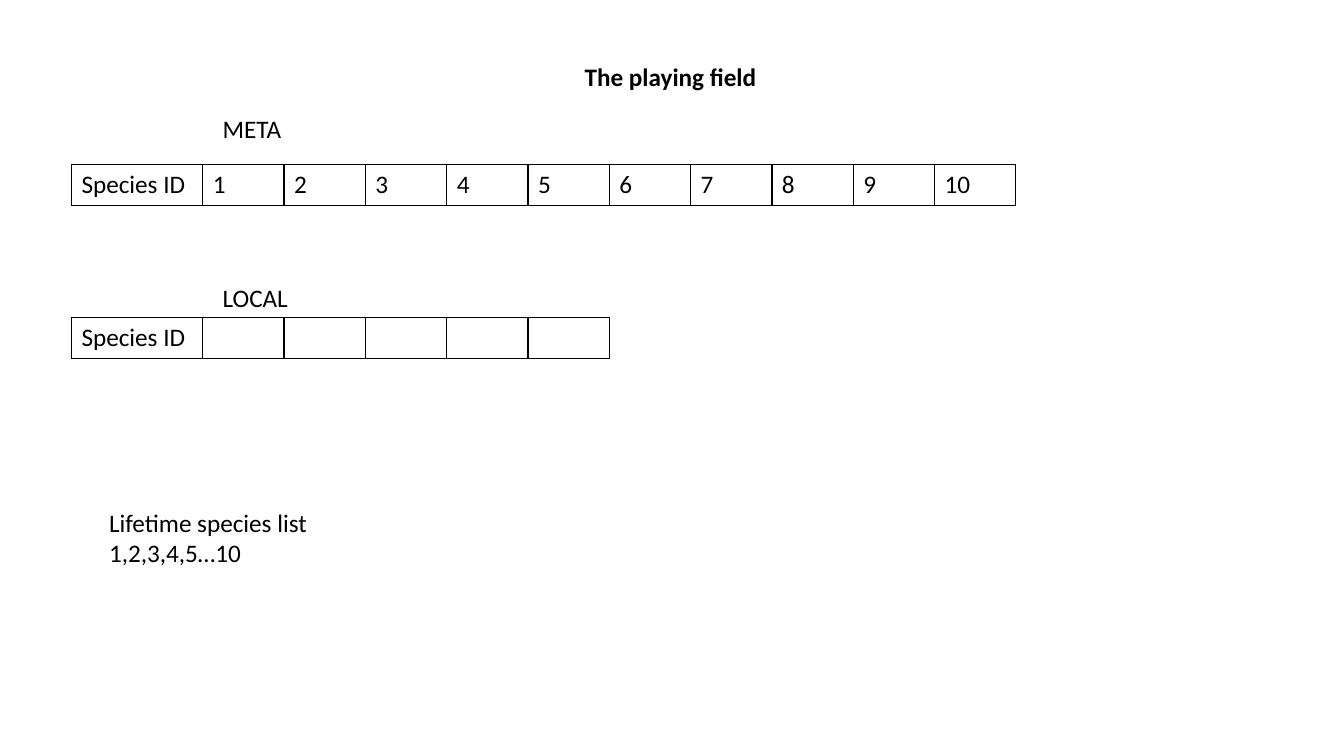
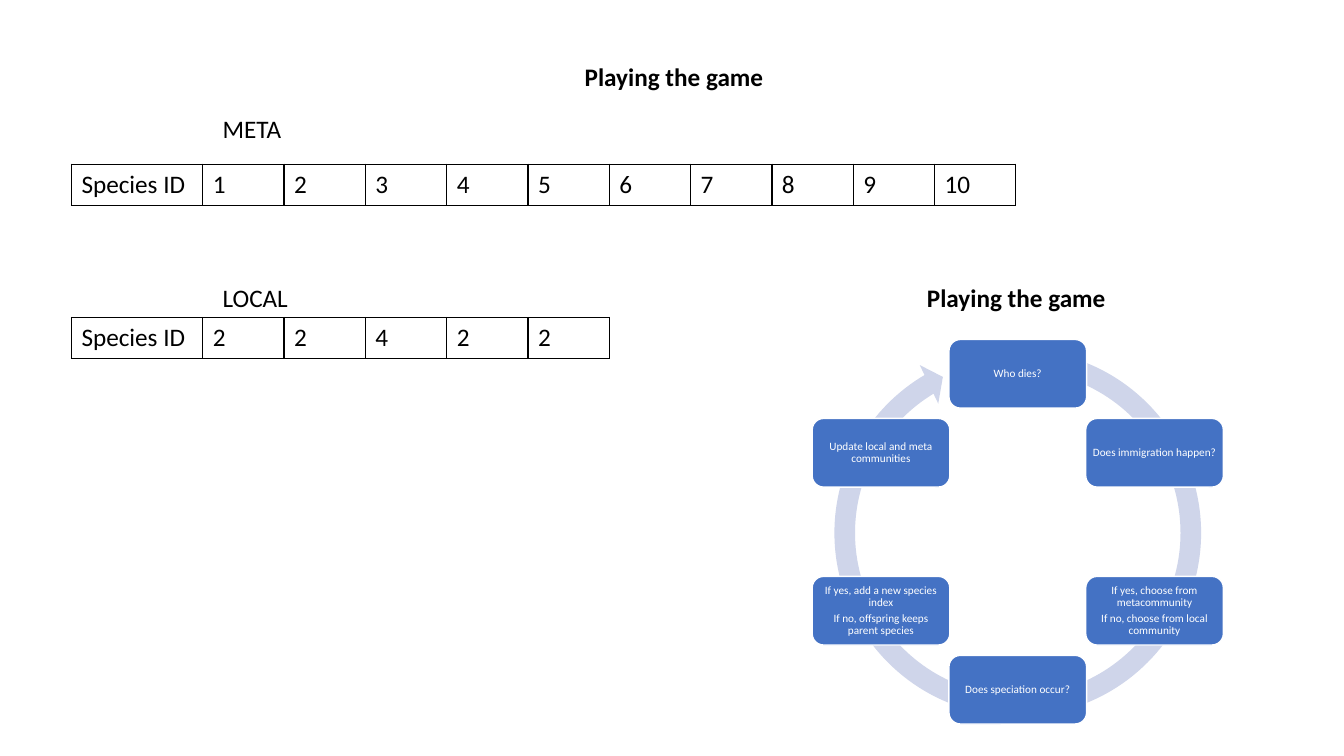
from math import cos, radians, sin

from lxml import etree
from pptx import Presentation
from pptx.dml.color import RGBColor
from pptx.enum.shapes import MSO_SHAPE
from pptx.enum.text import MSO_ANCHOR, MSO_AUTO_SIZE, PP_ALIGN
from pptx.oxml import parse_xml
from pptx.util import Cm, Pt

BLACK = RGBColor(0x00, 0x00, 0x00)
WHITE = RGBColor(0xFF, 0xFF, 0xFF)
BLUE = RGBColor(0x44, 0x72, 0xC4)
PALE_BLUE = RGBColor(0xCF, 0xD5, 0xEA)
FONT = "Calibri"
LEFT, CENTER = PP_ALIGN.LEFT, PP_ALIGN.CENTER
TOP, MIDDLE = MSO_ANCHOR.TOP, MSO_ANCHOR.MIDDLE
FIT_SHAPE = MSO_AUTO_SIZE.SHAPE_TO_FIT_TEXT
ROUND_RECT, CIRCULAR_ARROW = MSO_SHAPE.ROUNDED_RECTANGLE, MSO_SHAPE.CIRCULAR_ARROW
NS = "http://schemas.openxmlformats.org/drawingml/2006/main"

TABLE_LEFT, ROW_H = 1.8, 1.03
LABEL_W, CELL_W = 3.31, 2.05


def write(tf, text, size=18, color=BLACK, bold=False, align=LEFT, anchor=TOP,
          wrap=False, after=0, spacing=1.0):
    tf.word_wrap = wrap
    tf.vertical_anchor = anchor
    if not wrap:
        tf.auto_size = FIT_SHAPE
    for i, line in enumerate(text.split("\n")):
        p = tf.paragraphs[0] if i == 0 else tf.add_paragraph()
        p.alignment, p.line_spacing, p.space_after = align, spacing, Pt(after)
        r = p.add_run()
        r.text = line
        r.font.name, r.font.size, r.font.bold = FONT, Pt(size), bold
        r.font.color.rgb = color


def add_species_table(s, top, species):
    n = len(species)
    table = s.shapes.add_table(1, n + 1, Cm(TABLE_LEFT), Cm(top),
                               Cm(LABEL_W + n * CELL_W), Cm(ROW_H)).table
    table.first_row = table.horz_banding = False
    table.rows[0].height = Cm(ROW_H)
    for i, value in enumerate(["Species ID"] + species):
        table.columns[i].width = Cm(CELL_W if i else LABEL_W)
        cell = table.cell(0, i)
        p = cell.text_frame.paragraphs[0]
        p.font.size = Pt(18)
        if value:
            r = p.add_run()
            r.text = value
            r.font.name, r.font.size, r.font.color.rgb = FONT, Pt(18), BLACK
        tcPr = cell._tc.get_or_add_tcPr()
        for side in "LRTB":
            tcPr.append(parse_xml(
                f'<a:ln{side} xmlns:a="{NS}" w="12700"><a:solidFill>'
                f'<a:srgbClr val="{BLACK}"/></a:solidFill></a:ln{side}>'))
        cell.fill.background()


prs = Presentation()
prs.slide_width, prs.slide_height = Cm(33.87), Cm(19.05)

# Both slides: title, metacommunity and local community
# Extra labels are (text, left, top, width, height, bold)
slides = [
    ("The playing field", 4.88, [""] * 5,
     ("Lifetime species list\n1,2,3,4,5…10", 2.5, 12.65, 5.56, 1.8, False)),
    ("Playing the game", 5.05, ["2", "2", "4", "2", "2"],
     ("Playing the game", 23.11, 6.99, 5.05, 1.02, True)),
]
for title, title_w, local, extra in slides:
    s = prs.slides.add_slide(prs.slide_layouts[5])
    sp = s.shapes.title
    sp.left, sp.top, sp.width, sp.height = Cm(14.48), Cm(1.42), Cm(title_w), Cm(1.02)
    write(sp.text_frame, title, bold=True)
    add_species_table(s, 8, local)
    add_species_table(s, 4.14, [str(i) for i in range(1, 11)])
    labels = [("META", 5.36, 2.72, 2.01, 1.02, False),
              ("LOCAL", 5.36, 6.99, 2.18, 1.02, False), extra]
    for text, x, y, w, h, bold in labels:
        sp = s.shapes.add_textbox(Cm(x), Cm(y), Cm(w), Cm(h))
        write(sp.text_frame, text, bold=bold)

# Game cycle on the second slide: ring arrow
CX, CY, RADIUS, RING = 25.65, 13.4, 3.98, 9.8
NODE_W, NODE_H = 3.47, 1.73
sp = s.shapes.add_shape(CIRCULAR_ARROW, Cm(CX - RING / 2), Cm(CY + 0.03 - RING / 2),
                        Cm(RING), Cm(RING))
for i, value in enumerate([0.053, 3.126, 143.49, 170.566, 0.055]):
    sp.adjustments[i] = value
sp.shadow.inherit = False
sp.fill.solid()
sp.fill.fore_color.rgb = PALE_BLUE
sp.line.fill.background()

# Steps, clockwise from the top
steps = [
    "Who dies?",
    "Does immigration happen?",
    "If yes, choose from metacommunity\nIf no, choose from local community",
    "Does speciation occur?",
    "If yes, add a new species index\nIf no, offspring keeps parent species",
    "Update local and meta communities",
]
for i, step in enumerate(steps):
    angle = radians(i * 360 / len(steps))
    x, y = CX + RADIUS * sin(angle), CY - RADIUS * cos(angle)
    sp = s.shapes.add_shape(ROUND_RECT, Cm(x - NODE_W / 2), Cm(y - NODE_H / 2),
                            Cm(NODE_W), Cm(NODE_H))
    sp.shadow.inherit = False
    sp.fill.solid()
    sp.fill.fore_color.rgb = BLUE
    sp.line.color.rgb, sp.line.width = WHITE, Pt(1)
    tf = sp.text_frame
    tf.margin_left = tf.margin_right = tf.margin_top = tf.margin_bottom = Cm(0.08)
    write(tf, step, size=8, color=WHITE, align=CENTER, anchor=MIDDLE, wrap=True,
          after=2.8, spacing=0.9)

prs.save("out.pptx")
